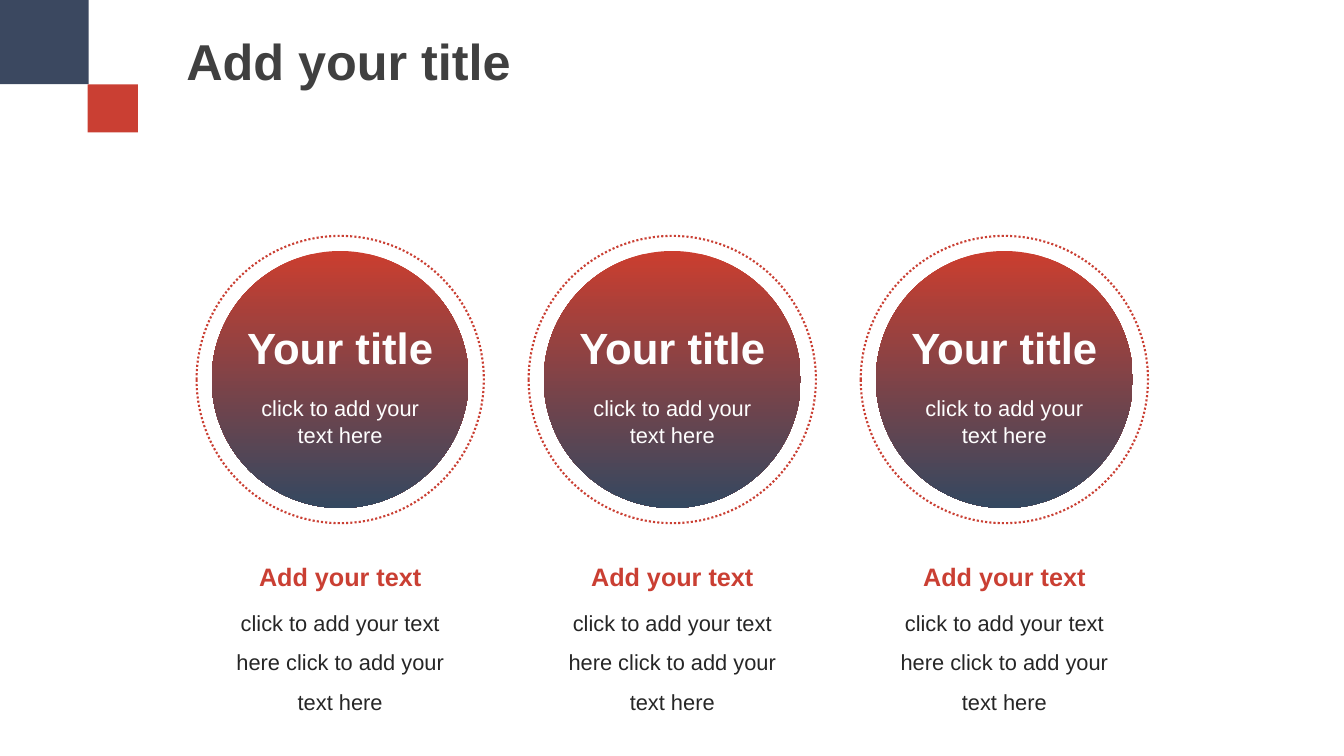
import pptx
import pptx.dml.color
import pptx.enum.dml
import pptx.enum.shapes
import pptx.enum.text
import pptx.util
from pptx.util import Pt

RED = "CA3F33"
NAVY = "3B4860"
SHAPE = pptx.enum.shapes.MSO_SHAPE
ALIGN = pptx.enum.text.PP_ALIGN
FIRST_CENTER, PITCH = 243, 237.2
CIRCLE_MIDDLE = 271.1


def rgb(value):
    return pptx.dml.color.RGBColor.from_string(value)


def add_shape(slide, kind, left, top, width, height):
    sp = slide.shapes.add_shape(kind, Pt(left), Pt(top), Pt(width), Pt(height))
    sp.shadow.inherit = False
    return sp


def add_square(slide, left, top, width, height, color):
    sp = add_shape(slide, SHAPE.RECTANGLE, left, top, width, height)
    sp.fill.solid()
    sp.fill.fore_color.rgb = rgb(color)
    sp.line.fill.background()


def add_circle(slide, center, diameter):
    return add_shape(slide, SHAPE.OVAL, center - diameter / 2,
                     CIRCLE_MIDDLE - diameter / 2, diameter, diameter)


def add_disc(slide, center):
    sp = add_circle(slide, center, 183.6)
    sp.fill.gradient()
    sp.fill.gradient_angle = 270
    for stop, color in zip(sp.fill.gradient_stops, ("CB3E2F", "344860")):
        stop.color.rgb = rgb(color)
    for stop, position in zip(sp.fill.gradient_stops, (0, 1)):
        stop.position = position
    sp.line.fill.background()


def add_ring(slide, center):
    sp = add_circle(slide, center, 205.2)
    sp.fill.background()
    sp.line.color.rgb = rgb(RED)
    sp.line.width = Pt(1.5)
    sp.line.dash_style = pptx.enum.dml.MSO_LINE.ROUND_DOT


def add_box(slide, left, top, width, height, wrap=True, inset=(9.4, 4.7)):
    tf = slide.shapes.add_textbox(
        Pt(left), Pt(top), Pt(width), Pt(height)).text_frame
    tf.word_wrap = wrap
    tf.margin_left = tf.margin_right = Pt(inset[0])
    tf.margin_top = tf.margin_bottom = Pt(inset[1])
    return tf


def write(p, text, size, color, bold=False, align=ALIGN.CENTER,
          before=None, spacing=None):
    p.alignment = align
    if before is not None:
        p.space_before = Pt(before)
    if spacing is not None:
        p.line_spacing = spacing
    r = p.add_run()
    r.text = text
    r.font.name = "Arial"
    r.font.size = Pt(size)
    r.font.bold = bold
    r.font.color.rgb = rgb(color)


def add_column(slide, center):
    """Draw one ringed disc with its title and the text below it."""
    add_disc(slide, center)
    add_ring(slide, center)

    tf = add_box(slide, center - 79.9, 224.6, 159.8, 101.5)
    write(tf.paragraphs[0], "Your title", 31.2, "FEFEFE", bold=True)
    write(tf.add_paragraph(), "click to add your text here", 15.6, "FEFEFE",
          before=15.5)

    tf = add_box(slide, center - 92.2, 396, 184.4, 106.6)
    write(tf.paragraphs[0], "Add your text", 18, RED, bold=True)
    write(tf.add_paragraph(),
          "click to add your text here click to add your text here",
          15.6, "262626", before=3.9, spacing=1.5)


def main():
    prs = pptx.Presentation()
    prs.slide_width, prs.slide_height = Pt(960), Pt(540)
    slide = prs.slides.add_slide(prs.slide_layouts[6])

    add_square(slide, 0, 0, 63.4, 60.2, NAVY)
    add_square(slide, 62.6, 60.2, 36, 34.4, RED)
    tf = add_box(slide, 126, 18, 249, 51, wrap=False, inset=(7.2, 3.6))
    write(tf.paragraphs[0], "Add your title", 36, "404040", bold=True,
          align=ALIGN.LEFT)

    for column in range(3):
        add_column(slide, FIRST_CENTER + column * PITCH)

    prs.save("out.pptx")


if __name__ == "__main__":
    main()
